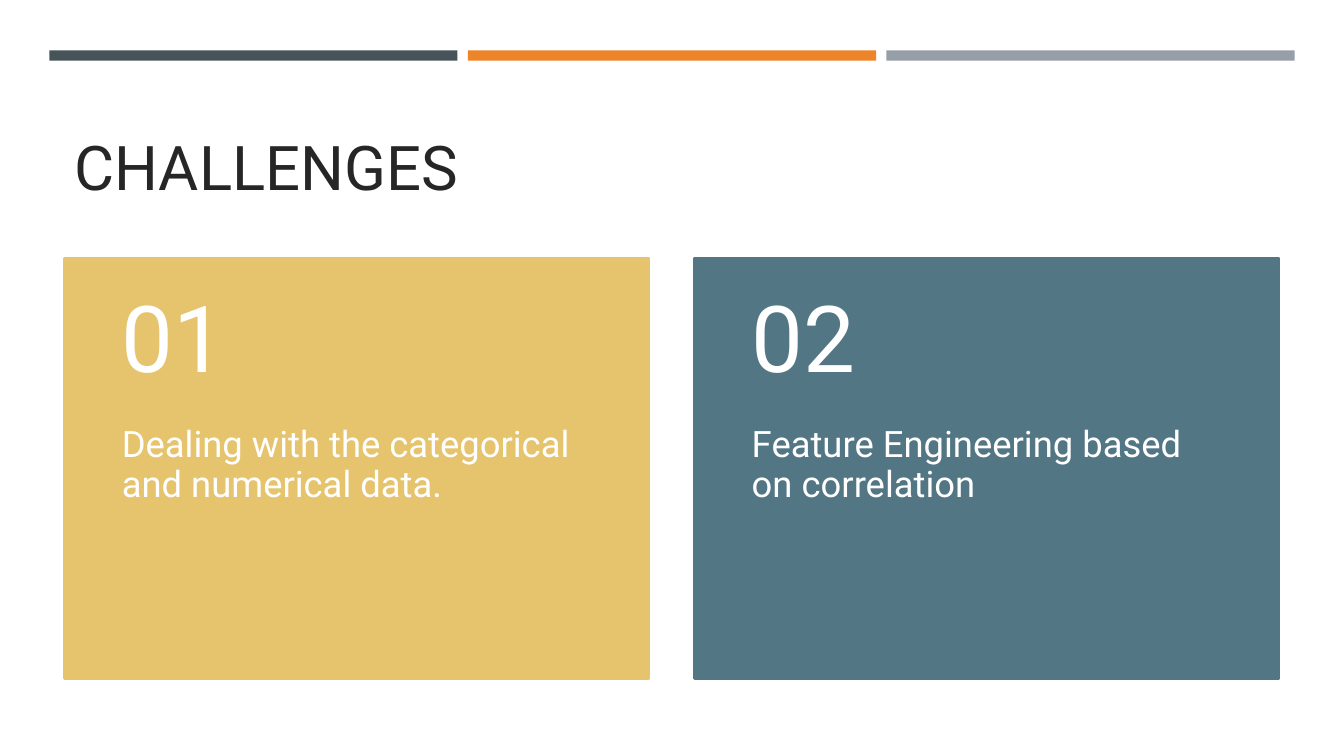
"""Build the Challenges slide: three accent bars, a title and two numbered cards."""
from pptx import Presentation
from pptx.dml.color import RGBColor
from pptx.enum.shapes import MSO_SHAPE
from pptx.enum.text import MSO_ANCHOR, MSO_AUTO_SIZE, PP_ALIGN
from pptx.util import Pt

RECTANGLE = MSO_SHAPE.RECTANGLE
TOP, MIDDLE, BOTTOM = MSO_ANCHOR.TOP, MSO_ANCHOR.MIDDLE, MSO_ANCHOR.BOTTOM
NO_AUTOFIT = MSO_AUTO_SIZE.NONE
LEFT = PP_ALIGN.LEFT

SLATE = RGBColor(0x46, 0x53, 0x59)
ORANGE = RGBColor(0xED, 0x84, 0x28)
GREY = RGBColor(0x96, 0x9F, 0xA7)
SAND = RGBColor(0xE6, 0xC4, 0x6D)
TEAL = RGBColor(0x53, 0x76, 0x85)
INK = RGBColor(0x26, 0x26, 0x26)
WHITE = RGBColor(0xFF, 0xFF, 0xFF)

HEADING = "CHALLENGES"
CHALLENGES = [
    ("01", "Dealing with the categorical and numerical data.", SAND),
    ("02", "Feature Engineering based on correlation", TEAL),
]
BAR_COLOURS = [SLATE, ORANGE, GREY]

FONT = "Roboto"
BAR_LEFT, BAR_TOP, BAR_WIDTH, BAR_HEIGHT, BAR_STEP = 35.2, 36, 291.6, 7.4, 299
CARD_LEFT, CARD_TOP, CARD_WIDTH, CARD_HEIGHT, CARD_STEP = 46, 184.4, 417.6, 300.4, 450
NUMBER_HEIGHT = 120.2
CARD_INSET = 41


def add_block(slide, left, top, width, height, colour):
    block = slide.shapes.add_shape(RECTANGLE, Pt(left), Pt(top), Pt(width), Pt(height))
    block.shadow.inherit = False
    block.fill.solid()
    block.fill.fore_color.rgb = colour
    block.line.fill.background()
    return block


def set_text(shape, text, size, colour, anchor, insets):
    frame = shape.text_frame
    frame.word_wrap = True
    frame.auto_size = NO_AUTOFIT
    frame.vertical_anchor = anchor
    frame.margin_left, frame.margin_top, frame.margin_right, frame.margin_bottom = map(Pt, insets)
    frame.text = text
    paragraph = frame.paragraphs[0]
    paragraph.alignment = LEFT
    paragraph.line_spacing = 0.9
    paragraph.font.name = FONT
    paragraph.font.size = Pt(size)
    paragraph.font.color.rgb = colour


def add_card(slide, left, number, challenge, colour):
    card = add_block(slide, left, CARD_TOP, CARD_WIDTH, CARD_HEIGHT, colour)
    card.line.color.rgb = colour
    card.line.width = Pt(1.75)
    parts = [
        (challenge, 26, CARD_TOP + NUMBER_HEIGHT, CARD_HEIGHT - NUMBER_HEIGHT, TOP, 0, 26),
        (number, 66, CARD_TOP, NUMBER_HEIGHT, MIDDLE, 13, 13),
    ]
    for text, size, top, height, anchor, inset_top, inset_bottom in parts:
        box = slide.shapes.add_textbox(Pt(left), Pt(top), Pt(CARD_WIDTH), Pt(height))
        set_text(box, text, size, WHITE, anchor,
                 (CARD_INSET, inset_top, CARD_INSET, inset_bottom))


def main():
    deck = Presentation()
    deck.slide_width, deck.slide_height = Pt(960), Pt(540)
    slide = deck.slides.add_slide(deck.slide_layouts[5])

    for index, colour in enumerate(BAR_COLOURS):
        add_block(slide, BAR_LEFT + index * BAR_STEP, BAR_TOP, BAR_WIDTH, BAR_HEIGHT, colour)

    title = slide.shapes.title
    title.left, title.top, title.width, title.height = Pt(46), Pt(55.4), Pt(868.4), Pt(93.6)
    set_text(title, HEADING, 44, INK, BOTTOM, (7.2, 3.6, 7.2, 3.6))

    for index, challenge in enumerate(CHALLENGES):
        add_card(slide, CARD_LEFT + index * CARD_STEP, *challenge)

    deck.save("out.pptx")


if __name__ == "__main__":
    main()
